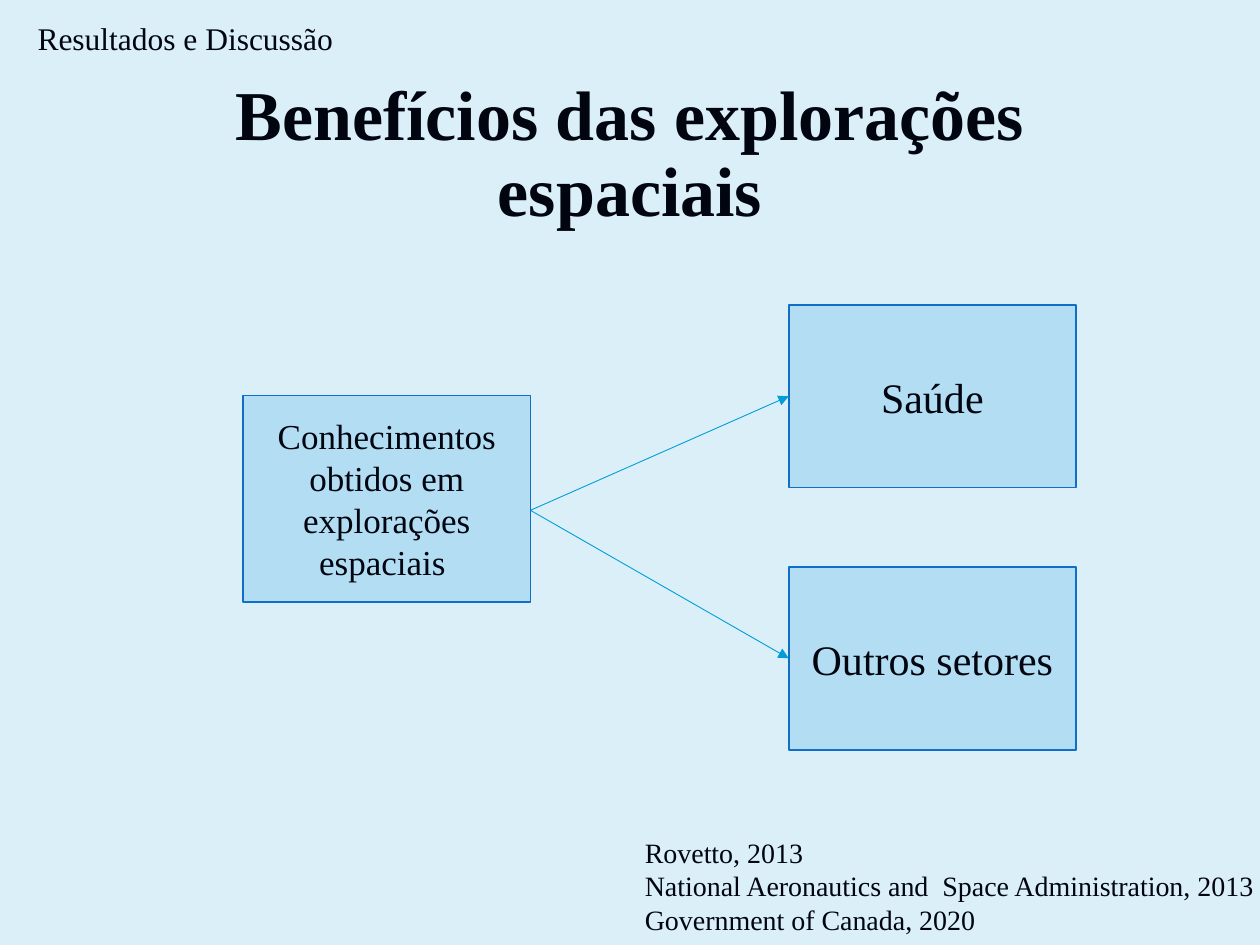
from lxml.etree import SubElement
from pptx import Presentation
from pptx.dml.color import RGBColor
from pptx.enum.shapes import MSO_CONNECTOR, MSO_SHAPE
from pptx.enum.text import MSO_ANCHOR, MSO_AUTO_SIZE, PP_ALIGN
from pptx.oxml.ns import qn
from pptx.util import Pt

COLORS = {
    "background": "DBEFF9",
    "text": "000510",
    "box": "B3DDF2",
    "border": "0F6FC6",
    "arrow": "009DD9",
}
FONT = "Times New Roman"
BOX_WIDTH = 164.16
SECTOR_HEIGHT = 104.4
KNOWLEDGE_LEFT = 138.96
SECTOR_LEFT = 450.72
ARROW_START = (KNOWLEDGE_LEFT + BOX_WIDTH, 291.6)
SECTORS = [("Saúde", 174.24), ("Outros setores", 324)]
REFERENCES = [
    "Rovetto, 2013",
    "National Aeronautics and  Space Administration, 2013",
    "Government of Canada, 2020",
]


def color(name):
    return RGBColor.from_string(COLORS[name])


def place(shape, left, top, width, height):
    shape.left, shape.top = Pt(left), Pt(top)
    shape.width, shape.height = Pt(width), Pt(height)


def write(frame, lines, size, align=PP_ALIGN.LEFT, bold=False):
    frame.word_wrap = True
    for index, line in enumerate(lines):
        paragraph = frame.add_paragraph() if index else frame.paragraphs[0]
        paragraph.alignment = align
        run = paragraph.add_run()
        run.text = line
        run.font.name = FONT
        run.font.size = Pt(size)
        run.font.bold = bold
        run.font.color.rgb = color("text")


def add_heading(slide, text):
    title = slide.shapes.title
    place(title, 49.68, 36.72, 620.64, 104.4)
    frame = title.text_frame
    write(frame, [text], 40, PP_ALIGN.CENTER, True)
    frame.vertical_anchor = MSO_ANCHOR.MIDDLE
    frame.auto_size = MSO_AUTO_SIZE.NONE
    frame.paragraphs[0].line_spacing = 0.9


def add_note(slide, lines, size, left, top, width, height):
    note = slide.shapes.add_textbox(Pt(left), Pt(top), Pt(width), Pt(height))
    write(note.text_frame, lines, size)
    note.text_frame.auto_size = MSO_AUTO_SIZE.SHAPE_TO_FIT_TEXT


def add_box(slide, text, size, left, top, height):
    box = slide.shapes.add_shape(
        MSO_SHAPE.RECTANGLE, Pt(left), Pt(top), Pt(BOX_WIDTH), Pt(height)
    )
    box.shadow.inherit = False
    box.fill.solid()
    box.fill.fore_color.rgb = color("box")
    box.line.color.rgb = color("border")
    box.line.width = Pt(1)
    box.text_frame.vertical_anchor = MSO_ANCHOR.MIDDLE
    write(box.text_frame, [text], size, PP_ALIGN.CENTER)


def add_arrow(slide, start, end):
    arrow = slide.shapes.add_connector(
        MSO_CONNECTOR.STRAIGHT, *(Pt(value) for value in (*start, *end))
    )
    arrow.line.color.rgb = color("arrow")
    arrow.line.width = Pt(0.5)
    SubElement(arrow.line._get_or_add_ln(), qn("a:tailEnd"), type="triangle")
    SubElement(arrow._element.spPr, qn("a:effectLst"))


def main():
    presentation = Presentation()
    presentation.slide_width, presentation.slide_height = Pt(720), Pt(540)
    slide = presentation.slides.add_slide(presentation.slide_layouts[5])
    slide.background.fill.solid()
    slide.background.fill.fore_color.rgb = color("background")

    add_heading(slide, "Benefícios das explorações espaciais")
    add_note(slide, ["Resultados e Discussão"], 18, 14.4, 7.2, 326.16, 28.8)
    for sector, top in SECTORS:
        add_box(slide, sector, 24, SECTOR_LEFT, top, SECTOR_HEIGHT)
    add_note(slide, REFERENCES, 16, 361.44, 473.76, 439.2, 84.96)
    for _, top in SECTORS:
        add_arrow(slide, ARROW_START, (SECTOR_LEFT, top + SECTOR_HEIGHT / 2))
    add_box(
        slide,
        "Conhecimentos obtidos em explorações espaciais ",
        20,
        KNOWLEDGE_LEFT,
        226.08,
        118.08,
    )
    presentation.save("out.pptx")


if __name__ == "__main__":
    main()
